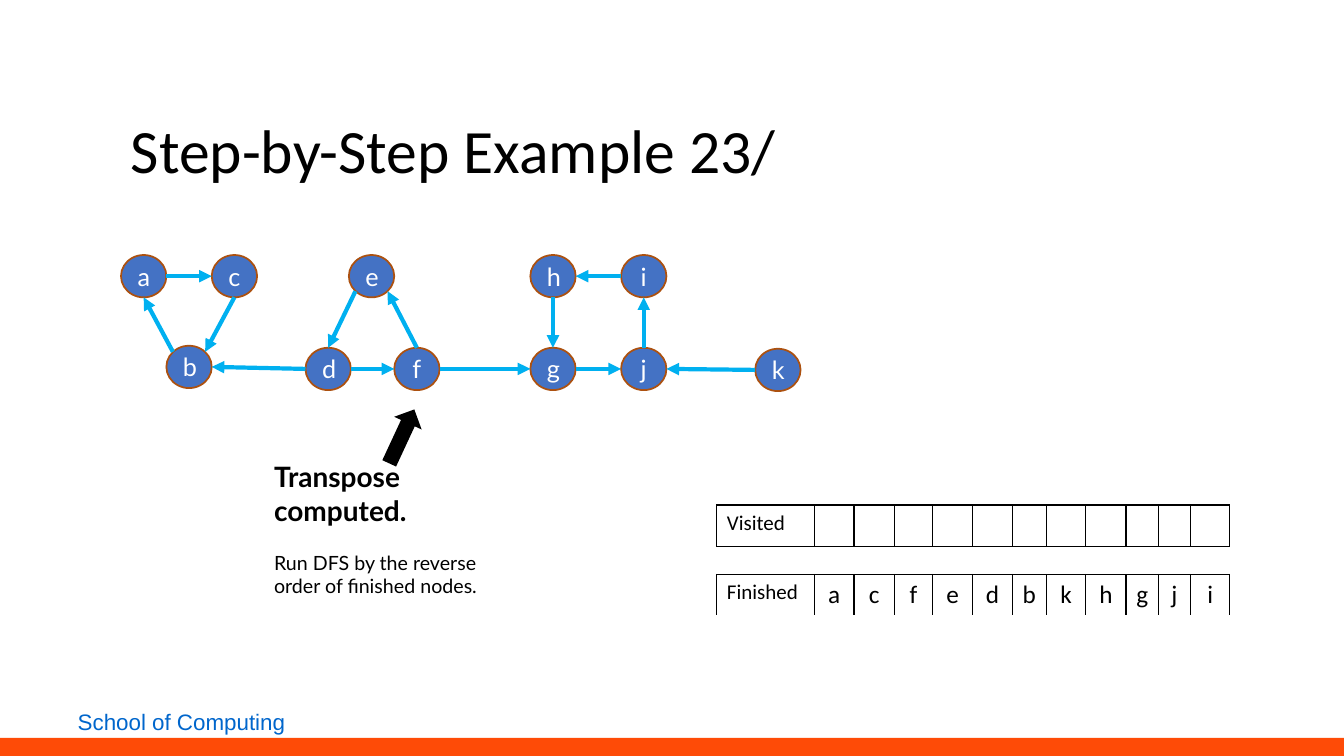
from pptx import Presentation
from pptx.dml.color import RGBColor
from pptx.enum.shapes import MSO_CONNECTOR as Connector, MSO_SHAPE as Shape
from pptx.enum.text import MSO_ANCHOR as Anchor, PP_ALIGN as Align
from pptx.oxml.ns import qn
from pptx.util import Inches, Pt
from lxml.etree import SubElement

NODE_WIDTH, NODE_HEIGHT = 0.45, 0.42
UPPER, LOWER = 2.53, 3.45
NODES = {
    "a": (1.2, UPPER), "c": (2.1, UPPER), "e": (3.46, UPPER),
    "h": (5.26, UPPER), "i": (6.16, UPPER),
    "b": (1.65, 3.43), "d": (3.03, LOWER), "f": (3.91, LOWER),
    "g": (5.26, LOWER), "j": (6.16, LOWER), "k": (7.49, 3.46),
}

# Points on a node's rim, in radii from its centre
RIM = {
    "top": (0, -1), "bottom": (0, 1), "left": (-1, 0), "right": (1, 0),
    "top left": (-0.71, -0.71), "top right": (0.71, -0.71),
    "bottom left": (-0.71, 0.71), "bottom right": (0.71, 0.71),
}
EDGES = [
    ("a", "right", "c", "left"), ("c", "bottom", "b", "top right"),
    ("b", "top left", "a", "bottom"), ("d", "left", "b", "right"),
    ("d", "right", "f", "left"), ("f", "top", "e", "bottom right"),
    ("e", "bottom left", "d", "top"), ("f", "right", "g", "left"),
    ("g", "right", "j", "left"), ("j", "top", "i", "bottom"),
    ("i", "left", "h", "right"), ("h", "bottom", "g", "top"),
    ("k", "left", "j", "right"),
]
COLUMNS = [0.97, 0.39, 0.4, 0.38, 0.4, 0.39, 0.34, 0.39, 0.4, 0.32, 0.32, 0.39]
ROW_HEIGHT = 0.41


def color(value):
    return RGBColor.from_string(value)


def style(para, size, font, value="000000", bold=False, align=Align.LEFT):
    para.alignment = align
    para.font.size = Pt(size)
    para.font.name = font
    para.font.bold = bold
    para.font.color.rgb = color(value)


def add_text(page, place, lines, anchor=Anchor.TOP):
    """Add a text box; each line is its wording and a dict of style values."""
    box = page.shapes.add_textbox(*map(Inches, place))
    frame = box.text_frame
    frame.word_wrap = True
    frame.vertical_anchor = anchor
    for index, (words, look) in enumerate(lines):
        para = frame.add_paragraph() if index else frame.paragraphs[0]
        para.text = words
        style(para, **look)
    return frame


def add_filled(page, kind, place, fill):
    shape = page.shapes.add_shape(kind, *map(Inches, place))
    shape.shadow.inherit = False
    shape.fill.solid()
    shape.fill.fore_color.rgb = color(fill)
    shape.line.fill.background()
    return shape


def add_node(page, name):
    node = add_filled(page, Shape.OVAL, (*NODES[name], NODE_WIDTH, NODE_HEIGHT), "4472C4")
    node.line.color.rgb = color("AC5110")
    node.line.width = Pt(1.25)
    frame = node.text_frame
    frame.vertical_anchor = Anchor.MIDDLE
    para = frame.paragraphs[0]
    para.text = name
    style(para, 18, "Lato", "FFFFFF", align=Align.CENTER)


def rim_point(name, side):
    left, top = NODES[name]
    across, down = RIM[side]
    return (Inches(left + NODE_WIDTH / 2 * (1 + across)),
            Inches(top + NODE_HEIGHT / 2 * (1 + down)))


def add_edge(page, source, source_side, target, target_side):
    edge = page.shapes.add_connector(
        Connector.STRAIGHT, *rim_point(source, source_side), *rim_point(target, target_side))
    edge.line.color.rgb = color("00B0F0")
    edge.line.width = Pt(3)
    SubElement(edge.line._get_or_add_ln(), qn("a:tailEnd"), type="triangle")
    SubElement(edge._element.spPr, qn("a:effectLst"))


def add_borders(cell, sides):
    properties = cell._tc.get_or_add_tcPr()
    for side in sides:
        line = SubElement(properties, qn("a:ln" + side), w=str(Pt(1)))
        fill = SubElement(line, qn("a:solidFill"))
        SubElement(fill, qn("a:srgbClr"), val="000000")


def add_strip(page, top, label, letters, rows, sides):
    """Add a table whose first row holds a label and one letter per cell."""
    table = page.shapes.add_table(
        rows, len(COLUMNS), Inches(7.11), Inches(top),
        Inches(sum(COLUMNS)), Inches(rows * ROW_HEIGHT)).table
    table.first_row = table.horz_banding = False
    for column, width in zip(table.columns, COLUMNS):
        column.width = Inches(width)
    for row in table.rows:
        row.height = Inches(ROW_HEIGHT)
    for index, cell in enumerate(table.rows[0].cells):
        add_borders(cell, sides)
        para = cell.text_frame.paragraphs[0]
        if index == 0:
            para.text = label
            style(para, 15, "Calibri")
        elif letters:
            para.text = letters[index - 1]
            style(para, 18, "Calibri", align=Align.CENTER)
    for cell in table.iter_cells():
        cell.fill.background()


def main():
    deck = Presentation()
    deck.slide_width, deck.slide_height = Inches(13.33), Inches(7.5)
    page = deck.slides.add_slide(deck.slide_layouts[6])

    # Footer
    add_filled(page, Shape.RECTANGLE, (0, 7.32, 13.33, 0.18), "FE4B07")
    add_text(page, (0.18, 6.98, 3.24, 0.37), [
        ("School of Computing",
         dict(size=16, font="Arial", value="0066CC", align=Align.CENTER))])

    # Title
    title = add_text(page, (1.2, 0.31, 11, 1.59), [
        ("Step-by-Step Example 23/", dict(size=44, font="Calibri"))], Anchor.BOTTOM)
    title.paragraphs[0].line_spacing = 0.9

    # Graph
    for name in NODES:
        add_node(page, name)
    for edge in EDGES:
        add_edge(page, *edge)

    # Explanation with its pointer
    body = dict(size=14, font="Lato")
    note = add_text(page, (2.62, 4.51, 2.74, 1.62), [
        ("Transpose computed.", dict(size=20, font="Lato", bold=True)),
        ("Run DFS by the reverse", body),
        ("order of finished nodes.", body)])
    note.paragraphs[0].space_after = Pt(17)
    pointer = add_filled(page, Shape.RIGHT_ARROW, (3.69, 4.18, 0.59, 0.3), "000000")
    pointer.rotation = 294.9

    # Node lists
    add_strip(page, 5.01, "Visited", "", 1, "LRTB")
    add_strip(page, 5.7, "Finished", "acfedbkhgji", 2, "LRT")

    deck.save("out.pptx")


if __name__ == "__main__":
    main()
